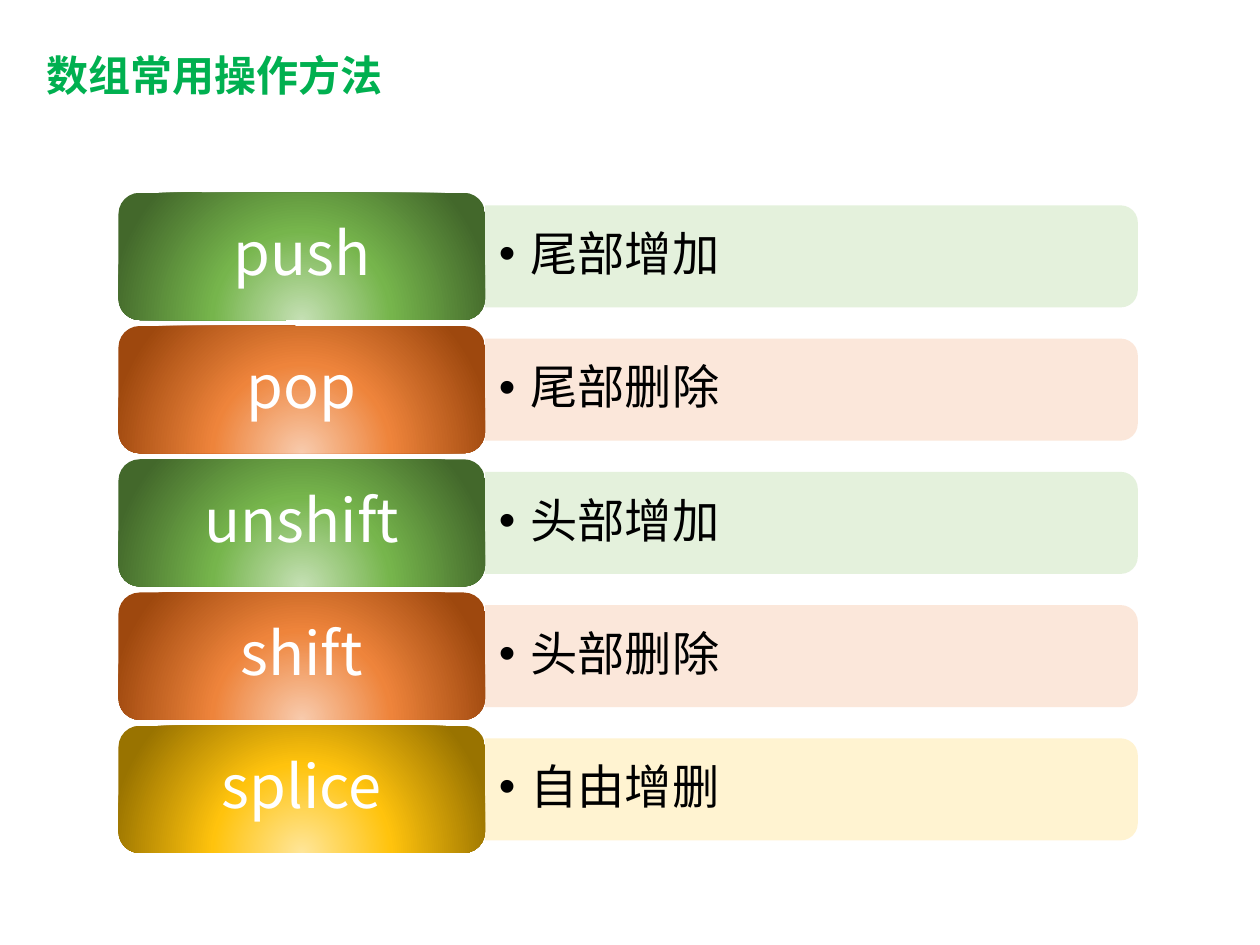
from lxml.etree import SubElement
from pptx import Presentation
from pptx.dml.color import RGBColor
from pptx.enum.shapes import MSO_SHAPE as Shape
from pptx.enum.text import MSO_ANCHOR as Anchor, PP_ALIGN as Align
from pptx.oxml import parse_xml
from pptx.oxml.ns import nsdecls, qn
from pptx.util import Inches, Pt

FONT = "Noto Sans CJK SC"
TITLE_GREEN = RGBColor(0x00, 0xB0, 0x50)
BLACK = RGBColor(0x00, 0x00, 0x00)
WHITE = RGBColor(0xFF, 0xFF, 0xFF)
GREEN = [RGBColor.from_string(c) for c in ("E2F0D9", "C5E0B4", "76B54C", "43682B")]
ORANGE = [RGBColor.from_string(c) for c in ("FBE5D6", "F8CBAD", "EE843B", "9E480E")]
GOLD = [RGBColor.from_string(c) for c in ("FFF2CC", "FFE699", "FFC30D", "997300")]

METHODS = [
    ("push", "尾部增加", GREEN),
    ("pop", "尾部删除", ORANGE),
    ("unshift", "头部增加", GREEN),
    ("shift", "头部删除", ORANGE),
    ("splice", "自由增删", GOLD),
]
ROW_TOP, ROW_HEIGHT, ROW_PITCH = 1.53, 1.01, 4.23 / 4
LABEL_LEFT, LABEL_WIDTH = 0.94, 2.91
BAR_LEFT, BAR_WIDTH, BAR_HEIGHT = 3.85, 5.18, 0.81
DETAIL_WIDTH, DETAIL_HEIGHT = 5.14, 0.73


def write_text(sp, text, size, color, inset, bold=False, align=Align.LEFT, bullet=False):
    """Write one vertically centred paragraph into a shape."""
    tf = sp.text_frame
    tf.word_wrap = True
    tf.vertical_anchor = Anchor.MIDDLE
    tf.margin_left = tf.margin_right = Inches(inset)
    tf.margin_top = tf.margin_bottom = Inches(inset / 2)
    p = tf.paragraphs[0]
    p.text = text
    if bullet:
        add_bullet(p)
    p.alignment = align
    p.line_spacing = 0.9
    r = p.runs[0]
    r.font.name = FONT
    r.font.size = Pt(size)
    r.font.bold = bold
    r.font.color.rgb = color
    SubElement(r.font._element, qn("a:ea"), typeface=FONT)


def add_bullet(p):
    """Give a paragraph a round bullet with a hanging indent."""
    p.level = 1
    pPr = p._p.get_or_add_pPr()
    pPr.set("marL", str(Inches(0.25)))
    pPr.set("indent", str(Inches(-0.25)))
    SubElement(pPr, qn("a:buFont"), typeface="Arial")
    SubElement(pPr, qn("a:buChar"), char="•")


def fill_radial(sp, colors):
    """Fill a shape with a glow that rises from below its bottom edge."""
    stops = "".join(
        f'<a:gs pos="{pos}"><a:srgbClr val="{color}"/></a:gs>'
        for pos, color in zip((0, 46000, 100000), colors)
    )
    gradient = parse_xml(
        f'<a:gradFill {nsdecls("a")} rotWithShape="1"><a:gsLst>{stops}</a:gsLst>'
        '<a:path path="circle"><a:fillToRect l="50000" t="130000" r="50000" b="-30000"/>'
        "</a:path></a:gradFill>"
    )
    sp.fill.background()
    spPr = sp._element.spPr
    spPr.replace(spPr.find(qn("a:noFill")), gradient)


def add_plain_shape(slide, kind, left, top, width, height):
    """Add a preset shape without outline or shadow."""
    sp = slide.shapes.add_shape(kind, Inches(left), Inches(top), Inches(width), Inches(height))
    sp.shadow.inherit = False
    sp.line.fill.background()
    return sp


def add_text_box(slide, left, top, width, height, *args, **kwargs):
    """Add a text box holding one paragraph."""
    sp = slide.shapes.add_textbox(Inches(left), Inches(top), Inches(width), Inches(height))
    write_text(sp, *args, **kwargs)


def add_bar(slide, middle, color):
    """Add a pale bar whose rounded corners face right."""
    left = BAR_LEFT + (BAR_WIDTH - BAR_HEIGHT) / 2
    sp = add_plain_shape(slide, Shape.ROUND_2_SAME_RECTANGLE, left, middle - BAR_WIDTH / 2,
                         BAR_HEIGHT, BAR_WIDTH)
    sp.rotation = 90
    sp.fill.solid()
    sp.fill.fore_color.rgb = color
    SubElement(sp._element.spPr.find(".//" + qn("a:srgbClr")), qn("a:alpha"), val="90000")


def add_method_row(slide, top, name, detail, palette):
    """Add a method label with its explanation bar."""
    middle = top + ROW_HEIGHT / 2
    add_bar(slide, middle, palette[0])
    add_text_box(slide, BAR_LEFT, middle - DETAIL_HEIGHT / 2, DETAIL_WIDTH, DETAIL_HEIGHT,
                 detail, 27, BLACK, 0.11, bullet=True)
    label = add_plain_shape(slide, Shape.ROUNDED_RECTANGLE, LABEL_LEFT, top,
                            LABEL_WIDTH, ROW_HEIGHT)
    fill_radial(label, palette[1:])
    write_text(label, name, 34, WHITE, 0.14, align=Align.CENTER)


def main():
    """Build the slide and save it."""
    prs = Presentation()
    prs.slide_width, prs.slide_height = Inches(10), Inches(7.5)
    slide = prs.slides.add_slide(prs.slide_layouts[6])
    add_text_box(slide, 0.27, 0.34, 4.65, 0.56, "数组常用操作方法", 24, TITLE_GREEN, 0.1, bold=True)
    for i, method in enumerate(METHODS):
        add_method_row(slide, ROW_TOP + i * ROW_PITCH, *method)
    prs.save("out.pptx")


if __name__ == "__main__":
    main()
